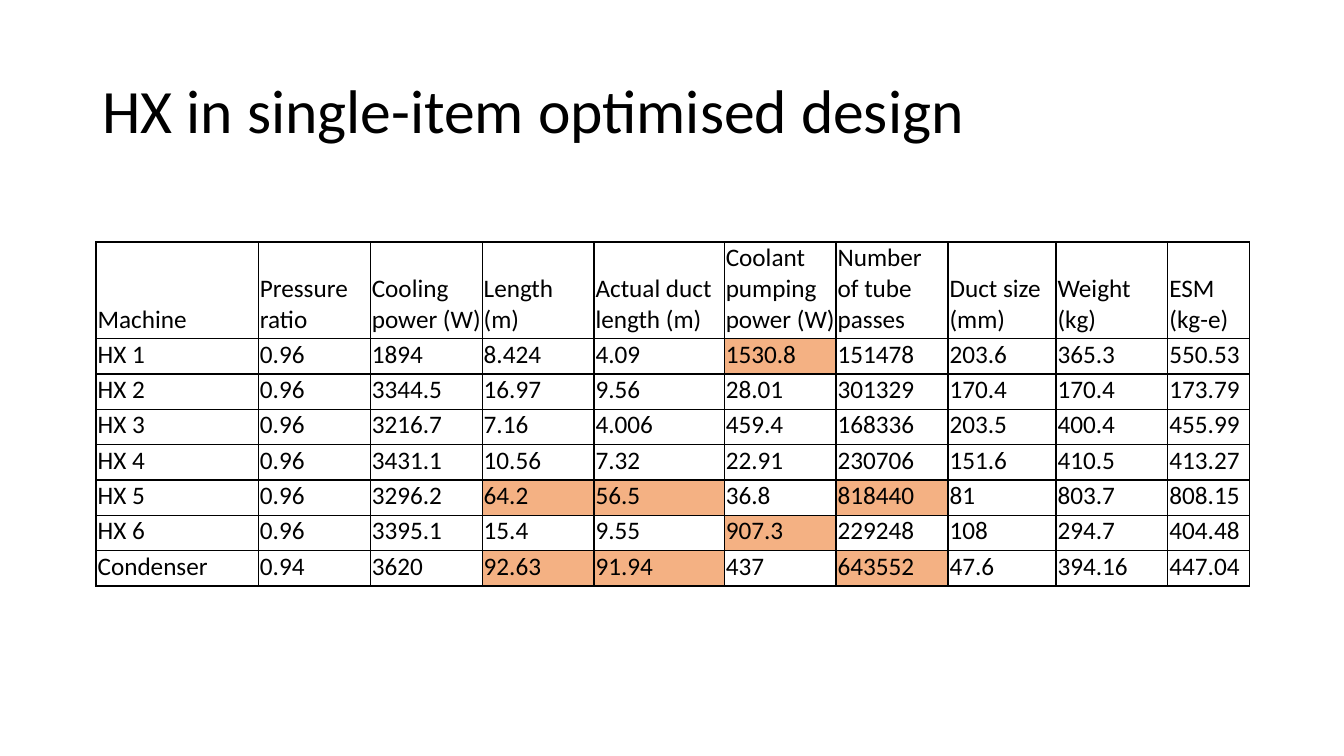
from lxml import etree
from pptx import Presentation
from pptx.dml.color import RGBColor
from pptx.enum.text import MSO_ANCHOR, MSO_AUTO_SIZE, PP_ALIGN
from pptx.oxml.ns import qn
from pptx.util import Cm, Pt

LEFT = PP_ALIGN.LEFT
MIDDLE = MSO_ANCHOR.MIDDLE
BOTTOM = MSO_ANCHOR.BOTTOM
NO_AUTOFIT = MSO_AUTO_SIZE.NONE
TITLE_ONLY = 5

COLORS = {"text": "000000", "border": "000000", "highlight": "F4B183"}
FONT = "Calibri"
TITLE_BOX = {"left": Cm(2.33), "top": Cm(1.01), "width": Cm(29.21), "height": Cm(3.68)}
TITLE_FRAME = {"vertical_anchor": MIDDLE, "auto_size": NO_AUTOFIT, "word_wrap": True}
CELL_FORMAT = {
    "vertical_anchor": BOTTOM,
    "margin_left": Cm(0.04),
    "margin_top": Cm(0.01),
    "margin_right": Cm(0.01),
    "margin_bottom": Cm(0.1),
}

COLUMN_WIDTHS = [4.09, 2.82, 2.82, 2.82, 3.28, 2.82, 2.82, 2.72, 2.82, 2.06]
HEADER_HEIGHT = 2.42
ROW_HEIGHT = 0.89
BORDER_WIDTH = Pt(1)
EXCHANGERS = [
    ["Machine", "Pressure ratio", "Cooling power (W)", "Length (m)",
     "Actual duct length (m)", "Coolant pumping power (W)",
     "Number of tube passes", "Duct size (mm)", "Weight (kg)", "ESM (kg-e)"],
    ["HX 1", "0.96", "1894", "8.424", "4.09", "1530.8", "151478", "203.6", "365.3", "550.53"],
    ["HX 2", "0.96", "3344.5", "16.97", "9.56", "28.01", "301329", "170.4", "170.4", "173.79"],
    ["HX 3", "0.96", "3216.7", "7.16", "4.006", "459.4", "168336", "203.5", "400.4", "455.99"],
    ["HX 4", "0.96", "3431.1", "10.56", "7.32", "22.91", "230706", "151.6", "410.5", "413.27"],
    ["HX 5", "0.96", "3296.2", "64.2", "56.5", "36.8", "818440", "81", "803.7", "808.15"],
    ["HX 6", "0.96", "3395.1", "15.4", "9.55", "907.3", "229248", "108", "294.7", "404.48"],
    ["Condenser", "0.94", "3620", "92.63", "91.94", "437", "643552", "47.6", "394.16", "447.04"],
]
# Highlighted columns by row
HIGHLIGHTS = {1: {5}, 5: {3, 4, 6}, 6: {5}, 7: {3, 4, 6}}


def apply_format(target, values):
    for name, value in values.items():
        setattr(target, name, value)


def write_text(text_frame, text, size):
    text_frame.text = text
    paragraph = text_frame.paragraphs[0]
    paragraph.alignment = LEFT
    font = paragraph.runs[0].font
    apply_format(font, {"name": FONT, "size": Pt(size), "bold": False})
    font.color.rgb = RGBColor.from_string(COLORS["text"])
    return paragraph


def add_title(page, text):
    title = page.shapes.title
    apply_format(title, TITLE_BOX)
    apply_format(title.text_frame, TITLE_FRAME)
    write_text(title.text_frame, text, 44).line_spacing = 0.9


def add_borders(cell):
    properties = cell._tc.get_or_add_tcPr()
    for side in ("a:lnL", "a:lnR", "a:lnT", "a:lnB"):
        line = etree.SubElement(properties, qn(side), w=str(BORDER_WIDTH))
        fill = etree.SubElement(line, qn("a:solidFill"))
        etree.SubElement(fill, qn("a:srgbClr"), val=COLORS["border"])


def format_cell(cell, text, highlighted):
    apply_format(cell, CELL_FORMAT)
    write_text(cell.text_frame, text, 18)
    add_borders(cell)
    if highlighted:
        cell.fill.solid()
        cell.fill.fore_color.rgb = RGBColor.from_string(COLORS["highlight"])
    else:
        cell.fill.background()


def add_exchanger_table(page):
    heights = [HEADER_HEIGHT] + [ROW_HEIGHT] * (len(EXCHANGERS) - 1)
    table = page.shapes.add_table(
        len(heights), len(COLUMN_WIDTHS), Cm(2.42), Cm(6.1),
        Cm(sum(COLUMN_WIDTHS)), Cm(sum(heights)),
    ).table
    apply_format(table, {"first_row": False, "horz_banding": False})
    for column, width in zip(table.columns, COLUMN_WIDTHS):
        column.width = Cm(width)
    for row, height in zip(table.rows, heights):
        row.height = Cm(height)
    for row_index, values in enumerate(EXCHANGERS):
        highlighted = HIGHLIGHTS.get(row_index, set())
        for column_index, text in enumerate(values):
            cell = table.cell(row_index, column_index)
            format_cell(cell, text, column_index in highlighted)


def main():
    deck = Presentation()
    apply_format(deck, {"slide_width": Cm(33.87), "slide_height": Cm(19.05)})
    page = deck.slides.add_slide(deck.slide_layouts[TITLE_ONLY])
    add_title(page, "HX in single-item optimised design")
    add_exchanger_table(page)
    deck.save("out.pptx")


if __name__ == "__main__":
    main()
